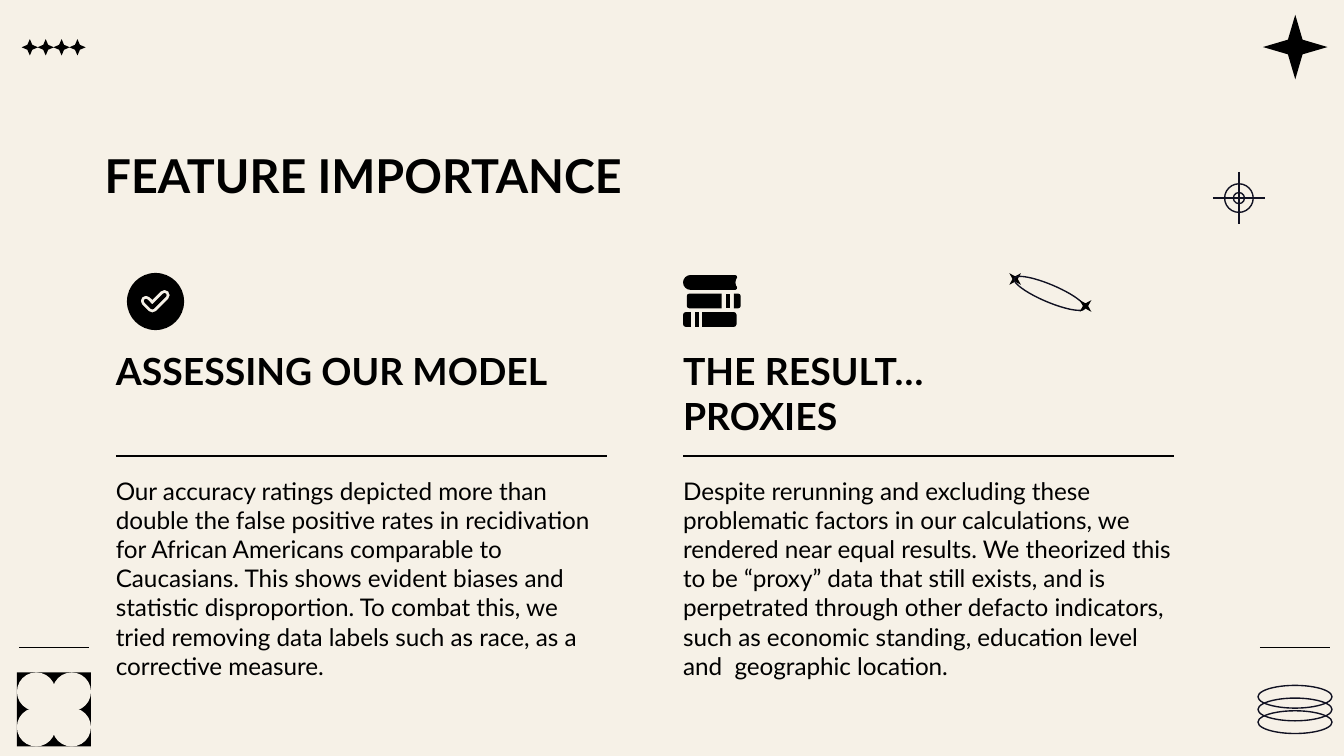
from math import cos, radians, sin, sqrt, tan

from lxml.etree import SubElement
from pptx import Presentation
from pptx.dml.color import RGBColor
from pptx.enum.shapes import MSO_CONNECTOR, MSO_SHAPE
from pptx.oxml.ns import qn
from pptx.util import Cm, Pt

CREAM, BLACK, NAVY = "F6F1E7", "000000", "101122"


def paint(target, color):
    target.solid()
    target.fore_color.rgb = RGBColor.from_string(color)


def shape(slide, kind, x, y, w, h, fill=None, line=None, turn=0, adj=None):
    """Add a preset shape; lengths in centimetres."""
    item = slide.shapes.add_shape(kind, Cm(x), Cm(y), Cm(w), Cm(h))
    item.shadow.inherit = False
    item.rotation = turn
    if adj is not None:
        item.adjustments[0] = adj
    if fill:
        paint(item.fill, fill)
    else:
        item.fill.background()
    if line:
        paint(item.line.fill, line)
        item.line.width = Pt(0.75)
    else:
        item.line.fill.background()


def star(slide, x, y, size, adj=0.16, turn=0):
    shape(slide, MSO_SHAPE.STAR_4_POINT, x, y, size, size, BLACK, turn=turn, adj=adj)


def ring(slide, x, y, w, h, turn=0):
    shape(slide, MSO_SHAPE.OVAL, x, y, w, h, line=NAVY, turn=turn)


def rule(slide, x1, y1, x2, y2, color=BLACK):
    item = slide.shapes.add_connector(
        MSO_CONNECTOR.STRAIGHT, Cm(x1), Cm(y1), Cm(x2), Cm(y2))
    paint(item.line.fill, color)
    item.line.width = Pt(0.75)
    SubElement(item._element.spPr, qn("a:effectLst"))


def text(slide, x, y, w, h, lines, size, bold=False):
    frame = slide.shapes.add_textbox(Cm(x), Cm(y), Cm(w), Cm(h)).text_frame
    frame.word_wrap = True
    frame.margin_left = frame.margin_right = 0
    frame.margin_top = frame.margin_bottom = 0
    frame.text = "\n".join(lines)
    for para in frame.paragraphs:
        para.font.name = "Lato"
        para.font.size = Pt(size)
        para.font.bold = bold
        para.font.color.rgb = RGBColor.from_string(BLACK)


def arc(x, y, r, start, end):
    """Steps of a clockwise arc: a point, then one curve per quarter turn."""
    def spot(angle, pull=0):
        a = radians(angle)
        return (x + r * (cos(a) - pull * sin(a)), y + r * (sin(a) + pull * cos(a)))

    k = 4 / 3 * tan(radians(90) / 4)
    steps = [[spot(start)]]
    if r:
        steps += [[spot(a, k), spot(a + 90, -k), spot(a + 90)]
                  for a in range(start, end, 90)]
    return steps


def trace(slide, x, y, *outlines):
    """Fill closed outlines, measured from (x, y); inner ones cut holes.

    A step of one point is a line, a step of three is a Bezier curve.
    """
    pen = None
    for line in outlines:
        spots = [(Cm(x + px), Cm(y + py)) for step in line for px, py in step]
        if pen:
            pen.move_to(*spots[0])
        else:
            pen = slide.shapes.build_freeform(*spots[0], scale=1.0)
        pen.add_line_segments(spots[1:], close=True)
    item = pen.convert_to_shape()
    lines = iter(list(item._element.iter(qn("a:lnTo"))))
    for step in (step for line in outlines for step in line[1:]):
        first = next(lines)
        if len(step) == 3:
            first.tag = qn("a:cubicBezTo")
            for extra in (next(lines), next(lines)):
                first.append(extra[0])
                extra.getparent().remove(extra)
    item.shadow.inherit = False
    paint(item.fill, BLACK)
    item.line.fill.background()


def tick(r):
    """Outline of a round-ended check mark with half-width r."""
    return (arc(0.36, 0.53, r, 135, 315) + [[(0.48, 0.65 - r * sqrt(2))]]
            + arc(0.71, 0.42, r, 225, 405) + arc(0.48, 0.65, r, 45, 135))


def check(slide, x, y):
    trace(slide, x, y, arc(0.54, 0.54, 0.54, 0, 360), tick(0.1))
    trace(slide, x, y, tick(0.04))


def block(x, w, left=0, right=0, h=0.28):
    """Outline of a bar with its own corner radius at each end."""
    end = x + w
    return (arc(x + left, left, left, 180, 270)
            + arc(end - right, right, right, 270, 360)
            + arc(end - right, h - right, right, 0, 90)
            + arc(x + left, h - left, left, 90, 180))


def books(slide, x, y):
    cover = [[(0.99, 0)], [(1.02, 0), (1.02, 0.03), (1.02, 0.05)],
             [(0.98, 0.1), (0.98, 0.18), (1.02, 0.23)],
             [(1.02, 0.25), (1.02, 0.28), (0.99, 0.28)]]
    trace(slide, x, y, arc(0.14, 0.14, 0.14, 90, 270) + cover)
    for part in (block(0.81, 0.08), block(0.96, 0.13, right=0.05),
                 block(0.07, 0.66, left=0.05)):
        trace(slide, x, y + 0.35, part)
    for part in (block(0.23, 0.07), block(0.36, 0.65, right=0.05),
                 block(0, 0.15, left=0.05)):
        trace(slide, x, y + 0.7, part)


def coil(slide, x, y):
    for n in range(3):
        ring(slide, x, y - 0.24 * n, 0.43, 1.4, 270)


def orbit(slide, x, y):
    star(slide, x, y, 0.31, turn=45)
    ring(slide, x + 0.64, y - 0.3, 0.33, 1.45, 293)
    star(slide, x + 1.33, y + 0.51, 0.31, turn=45)


def target(slide, x, y, size):
    mid = size / 2
    for d in (0.54, 0.21):
        ring(slide, x + mid - d / 2, y + mid - d / 2, d, d)
    rule(slide, x + mid, y, x + mid, y + size, NAVY)
    rule(slide, x, y + mid, x + size, y + mid, NAVY)


def tile(slide, x, y, size):
    shape(slide, MSO_SHAPE.RECTANGLE, x, y, size, size, BLACK)
    drop = 0.73
    far = size - drop
    for dx, dy, turn in ((0, 0, 90), (far, 0, 180), (far, far, 270), (0, far, 0)):
        shape(slide, MSO_SHAPE.TEAR, x + dx, y + dy, drop, drop, CREAM, turn=turn)


def decor(slide, w):
    coil(slide, w - 1.14, 12.95)
    star(slide, w - 1.53, 0.28, 1.22)
    orbit(slide, 19.03, 5.12)
    target(slide, 22.92, 3.25, 0.99)
    for n in range(4):
        star(slide, 0.41 + 0.3 * n, 0.74, 0.31, adj=0.21)
    tile(slide, 0.32, 12.71, 1.4)
    for x in (0.36, w - 1.59):
        rule(slide, x, 12.24, x + 1.32, 12.24)


def column(slide, x, y, w, head, body):
    text(slide, x, y, 8.71, 1.93, head, 20, bold=True)
    rule(slide, x, y + 2.03, x + w, y + 2.03)
    text(slide, x, y + 2.41, w, 1.93, [body], 13)


def main():
    deck = Presentation()
    deck.slide_width, deck.slide_height = Cm(25.4), Cm(14.29)
    slide = deck.slides.add_slide(deck.slide_layouts[6])
    paint(slide.background.fill, CREAM)
    decor(slide, 25.4)
    text(slide, 1.98, 2.77, 21.44, 1.14, ["FEATURE IMPORTANCE"], 25, bold=True)
    check(slide, 2.4, 5.16)
    column(slide, 2.19, 6.59, 9.28, ["ASSESSING OUR MODEL"],
           "Our accuracy ratings depicted more than double the false positive "
           "rates in recidivation for African Americans comparable to "
           "Caucasians. This shows evident biases and statistic disproportion. "
           "To combat this, we tried removing data labels such as race, as a "
           "corrective measure.")
    books(slide, 12.91, 5.2)
    column(slide, 12.91, 6.59, 9.28, ["THE RESULT…", "PROXIES"],
           "Despite rerunning and excluding these problematic factors in our "
           "calculations, we rendered near equal results. We theorized this to "
           "be “proxy” data that still exists, and is perpetrated through other "
           "defacto indicators, such as economic standing, education level and  "
           "geographic location.")
    deck.save("out.pptx")


if __name__ == "__main__":
    main()
